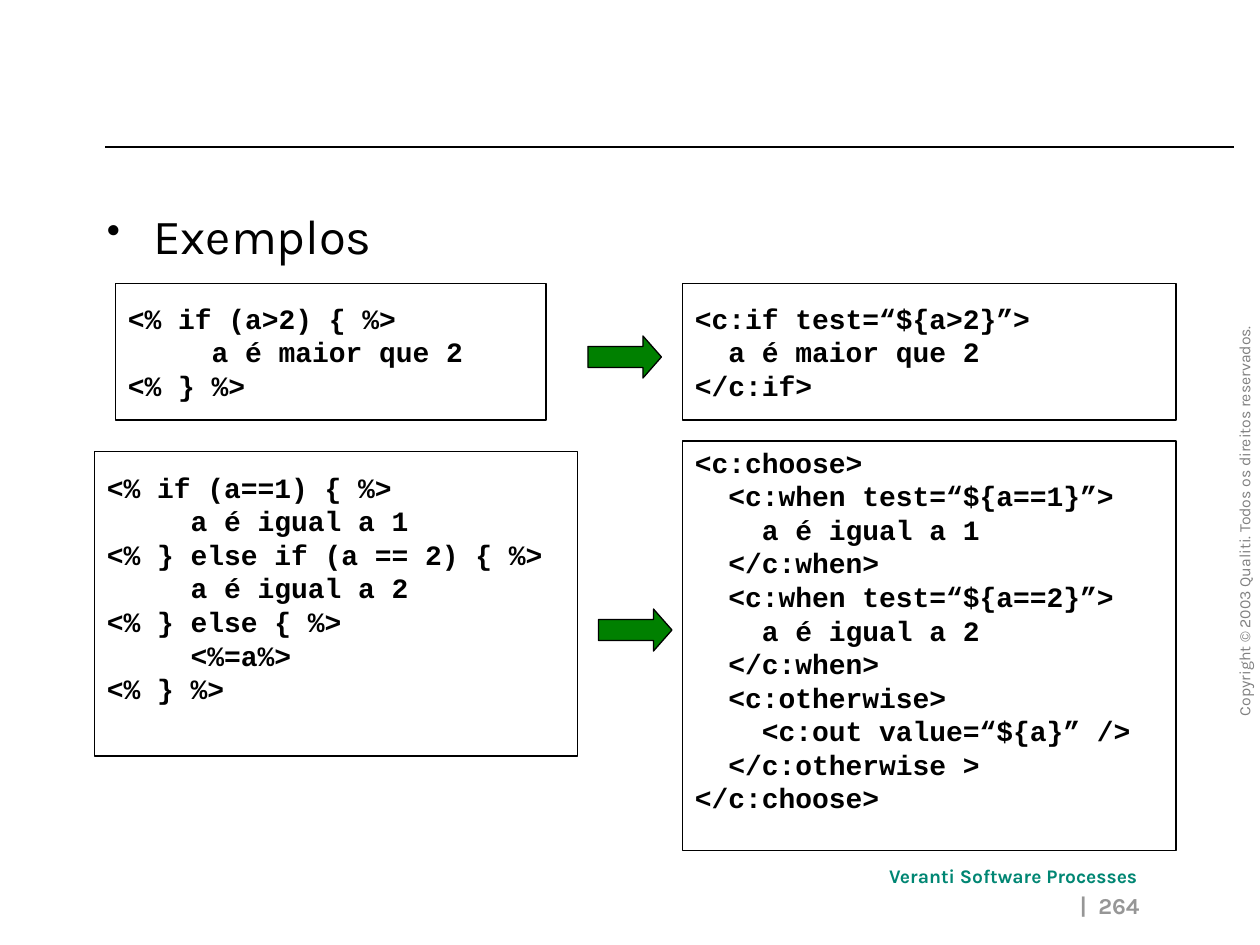
from dataclasses import dataclass
from typing import Optional

import pptx
import pptx.dml.color
import pptx.enum.shapes
import pptx.enum.text
import pptx.util
from lxml import etree

Pt = pptx.util.Pt
Align = pptx.enum.text.PP_ALIGN
Anchor = pptx.enum.text.MSO_ANCHOR
Kind = pptx.enum.shapes.MSO_SHAPE


@dataclass(frozen=True)
class Theme:
    sans: str = "Karla"
    mono: str = "Courier New"
    ink: str = "000000"
    paper: str = "FFFFFF"
    arrow: str = "008000"
    brand: str = "008673"
    legal: str = "808080"
    page: str = "969696"
    body_size: int = 28
    code_size: int = 16
    page_size: int = 13
    brand_size: int = 11
    legal_size: int = 9
    rule: float = 0.75


@dataclass(frozen=True)
class Box:
    left: float
    top: float
    width: float
    height: float

    def lengths(self) -> list:
        return [Pt(n) for n in (self.left, self.top, self.width, self.height)]


@dataclass(frozen=True)
class Label:
    text: str
    box: Box
    size: int
    color: str
    bold: bool = False
    align: Optional[Align] = None
    turn: int = 0
    bullet: bool = False


@dataclass(frozen=True)
class Code:
    text: str
    box: Box
    below: float = 3.6


THEME = Theme()
LINE = 18.1  # height of one code line

LABELS = [
    Label("Copyright © 2003 Qualiti. Todos os direitos reservados.",
          Box(587.5, 283.7, 247, 18), THEME.legal_size, THEME.legal, turn=270),
    Label("Veranti Software Processes", Box(501, 490.3, 162, 21),
          THEME.brand_size, THEME.brand, bold=True),
    Label("|  264", Box(310.3, 506.2, 347.8, 23.8), THEME.page_size,
          THEME.page, bold=True, align=Align.RIGHT),
    Label("Exemplos", Box(54, 114, 612, 372), THEME.body_size, THEME.ink,
          bullet=True),
]

CODES = [
    Code("""<% if (a>2) { %>
     a é maior que 2
<% } %>""", Box(66, 162, 246, 78)),
    Code("""<c:if test=“${a>2}”>
  a é maior que 2
</c:if>""", Box(390, 162, 282, 78)),
    Code("""<% if (a==1) { %>
     a é igual a 1
<% } else if (a == 2) { %>
     a é igual a 2
<% } else { %>
     <%=a%>
<% } %>""", Box(54, 258, 276, 174), 3.6 + LINE),
    Code("""<c:choose>
  <c:when test=“${a==1}”>
    a é igual a 1
  </c:when>
  <c:when test=“${a==2}”>
    a é igual a 2
  </c:when>
  <c:otherwise>
    <c:out value=“${a}” />
  </c:otherwise >
</c:choose>""", Box(390, 252, 282, 234), 3.6 + LINE),
]

ARROWS = [Box(342, 348, 42, 24), Box(336, 192, 42, 24)]


def rgb(color: str) -> pptx.dml.color.RGBColor:
    return pptx.dml.color.RGBColor.from_string(color)


def style(font, name: str, size: int, color: str, bold: bool) -> None:
    font.name, font.size, font.bold = name, Pt(size), bold
    font.color.rgb = rgb(color)


def add_bullet(para) -> None:
    props = para._p.get_or_add_pPr()
    props.set("marL", str(Pt(26.6)))
    props.set("indent", str(-Pt(26.6)))
    name = pptx.oxml.ns.qn
    tint = etree.SubElement(props, name("a:buClr"))
    etree.SubElement(tint, name("a:srgbClr"), val=THEME.ink)
    etree.SubElement(props, name("a:buSzPct"), val="80000")
    etree.SubElement(props, name("a:buChar"), char="•")


def draw_label(slide, label: Label) -> None:
    shape = slide.shapes.add_textbox(*label.box.lengths())
    shape.rotation = label.turn
    frame = shape.text_frame
    frame.word_wrap = True
    frame.text = label.text
    para = frame.paragraphs[0]
    para.alignment = label.align
    if label.bullet:
        add_bullet(para)
    style(para.runs[0].font, THEME.sans, label.size, label.color, label.bold)


def draw_shape(slide, kind: Kind, box: Box, fill: str):
    shape = slide.shapes.add_shape(kind, *box.lengths())
    shape.shadow.inherit = False
    shape.fill.solid()
    shape.fill.fore_color.rgb = rgb(fill)
    shape.line.color.rgb = rgb(THEME.ink)
    shape.line.width = Pt(THEME.rule)
    return shape


def draw_code(slide, code: Code) -> None:
    frame = draw_shape(slide, Kind.RECTANGLE, code.box, THEME.paper).text_frame
    frame.word_wrap = False
    frame.vertical_anchor = Anchor.MIDDLE
    frame.margin_bottom = Pt(code.below)
    frame.text = code.text
    for para in frame.paragraphs:
        para.alignment = Align.LEFT
        style(para.runs[0].font, THEME.mono, THEME.code_size, THEME.ink, True)


def draw_rule(slide) -> None:
    rule = slide.shapes.add_connector(
        pptx.enum.shapes.MSO_CONNECTOR.STRAIGHT,
        Pt(705), Pt(84), Pt(60), Pt(84))
    rule.line.color.rgb = rgb(THEME.ink)
    rule.line.width = Pt(THEME.rule)
    etree.SubElement(rule._element.spPr, pptx.oxml.ns.qn("a:effectLst"))


def main() -> None:
    deck = pptx.Presentation()
    deck.slide_width, deck.slide_height = Pt(720), Pt(540)
    slide = deck.slides.add_slide(deck.slide_layouts[6])
    draw_rule(slide)
    for label in LABELS:
        draw_label(slide, label)
    for code in CODES:
        draw_code(slide, code)
    for box in ARROWS:
        arrow = draw_shape(slide, Kind.RIGHT_ARROW, box, THEME.arrow)
        arrow.adjustments[1] = 0.44
    deck.save("out.pptx")


if __name__ == "__main__":
    main()
